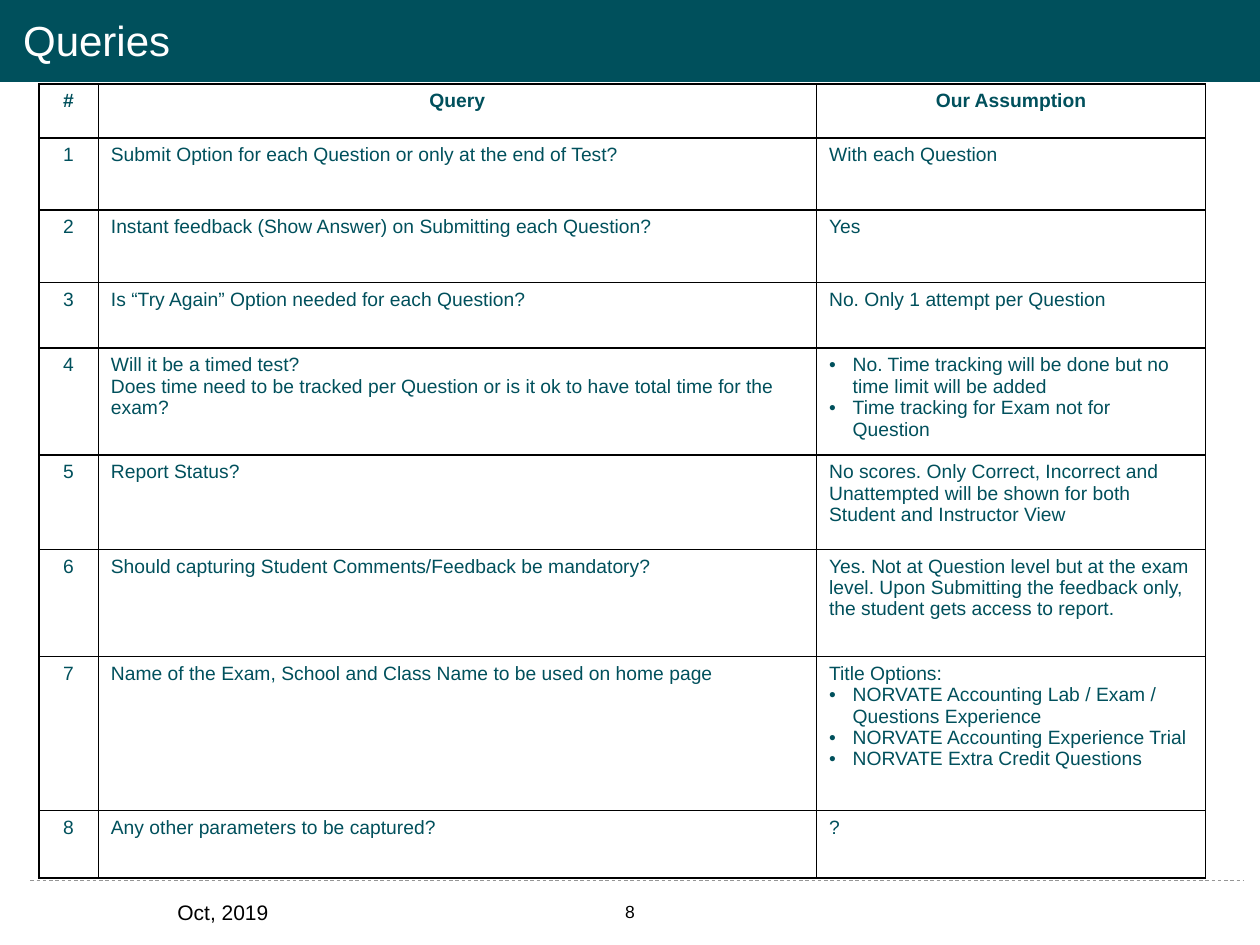
import pptx
import pptx.dml.color
import pptx.enum.dml
import pptx.enum.shapes
import pptx.enum.text
import pptx.oxml
import pptx.oxml.ns
import pptx.util
from dataclasses import dataclass

Pt = pptx.util.Pt
ALIGN = pptx.enum.text.PP_ALIGN
ANCHOR = pptx.enum.text.MSO_ANCHOR
NAMESPACE = pptx.oxml.ns.nsdecls("a")


@dataclass(frozen=True)
class Theme:
    font: str = "Arial"
    teal: str = "00505C"
    white: str = "FFFFFF"
    black: str = "000000"
    gray: str = "969696"
    title_size: float = 24
    date_size: float = 12
    table_size: float = 11
    number_size: float = 10


THEME = Theme()
BULLET = "• "
BULLET_INDENT = Pt(13.5)
COLUMN_WIDTHS = [34, 410.4, 222.4]
ROW_HEIGHTS = [31, 41, 41.6, 37.4, 61.2, 53.8, 61.2, 88, 38.6]
HEADINGS = ["#", "Query", "Our Assumption"]
QUERIES = [
    (["Submit Option for each Question or only at the end of Test?"],
     ["With each Question"]),
    (["Instant feedback (Show Answer) on Submitting each Question?"],
     ["Yes"]),
    (["Is “Try Again” Option needed for each Question?"],
     ["No. Only 1 attempt per Question"]),
    (["Will it be a timed test?",
      "Does time need to be tracked per Question or is it ok to have "
      "total time for the exam?"],
     ["• No. Time tracking will be done but no time limit will be added",
      "• Time tracking for Exam not for Question"]),
    (["Report Status?"],
     ["No scores. Only Correct, Incorrect and Unattempted will be shown "
      "for both Student and Instructor View"]),
    (["Should capturing Student Comments/Feedback be mandatory?"],
     ["Yes. Not at Question level but at the exam level. Upon Submitting "
      "the feedback only, the student gets access to report."]),
    (["Name of the Exam, School and Class Name to be used on home page"],
     ["Title Options:",
      "• NORVATE Accounting Lab / Exam / Questions Experience",
      "• NORVATE Accounting Experience Trial",
      "• NORVATE Extra Credit Questions"]),
    (["Any other parameters to be captured?"], ["?"]),
]


def rgb(value):
    return pptx.dml.color.RGBColor.from_string(value)


def format_paragraph(para, size, color, align=ALIGN.LEFT, bold=False):
    para.alignment = align
    for span in para.runs:
        span.font.name = THEME.font
        span.font.size = Pt(size)
        span.font.bold = bold
        span.font.color.rgb = rgb(color)


def add_bullet(para):
    properties = para._p.get_or_add_pPr()
    properties.set("marL", str(BULLET_INDENT))
    properties.set("indent", str(-BULLET_INDENT))
    for tag in ('buFont typeface="Arial"', 'buChar char="•"'):
        properties.append(pptx.oxml.parse_xml(f"<a:{tag} {NAMESPACE}/>"))


def add_band(page, left, top, width, height):
    band = page.shapes.add_shape(
        pptx.enum.shapes.MSO_SHAPE.RECTANGLE,
        Pt(left), Pt(top), Pt(width), Pt(height))
    band.shadow.inherit = False
    band.fill.solid()
    band.fill.fore_color.rgb = rgb(THEME.teal)
    band.line.fill.background()


def add_dashed_rule(page, left, right, y):
    rule = page.shapes.add_connector(
        pptx.enum.shapes.MSO_CONNECTOR.STRAIGHT,
        Pt(left), Pt(y), Pt(right), Pt(y))
    rule.line.color.rgb = rgb(THEME.gray)
    rule.line.width = Pt(0.5)
    rule.line.dash_style = pptx.enum.dml.MSO_LINE.DASH
    rule.element.spPr.append(
        pptx.oxml.parse_xml(f"<a:effectLst {NAMESPACE}/>"))


def add_label(page, text, left, top, width, height, size, align, anchor):
    box = page.shapes.add_textbox(Pt(left), Pt(top), Pt(width), Pt(height))
    frame = box.text_frame
    frame.word_wrap = True
    frame.vertical_anchor = anchor
    frame.text = text
    format_paragraph(frame.paragraphs[0], size, THEME.black, align)
    return box


def set_title(page, text):
    """Fill the title placeholder and bring it in front of the band."""
    title = page.shapes.title
    title.left, title.top = Pt(6), Pt(1.2)
    title.width, title.height = Pt(682.5), Pt(46.8)
    frame = title.text_frame
    frame.text = text
    frame.auto_size = pptx.enum.text.MSO_AUTO_SIZE.NONE
    frame.vertical_anchor = ANCHOR.MIDDLE
    para = frame.paragraphs[0]
    para.line_spacing = 0.9
    para.space_before, para.space_after = Pt(3), Pt(6)
    format_paragraph(para, THEME.title_size, THEME.white)
    title.element.getparent().append(title.element)


def style_cell(cell):
    properties = cell._tc.get_or_add_tcPr()
    for side in "LRTB":
        properties.append(pptx.oxml.parse_xml(
            f'<a:ln{side} {NAMESPACE} w="{Pt(1)}"><a:solidFill>'
            f'<a:srgbClr val="{THEME.black}"/></a:solidFill></a:ln{side}>'))
    cell.fill.background()


def fill_cell(cell, lines, align, bold):
    style_cell(cell)
    frame = cell.text_frame
    frame.text = "\n".join(line.removeprefix(BULLET) for line in lines)
    for para, line in zip(frame.paragraphs, lines):
        format_paragraph(para, THEME.table_size, THEME.teal, align, bold)
        if line.startswith(BULLET):
            add_bullet(para)


def add_query_table(page, left, top):
    rows = [[[heading] for heading in HEADINGS]]
    rows += [[[str(number)], query, assumption]
             for number, (query, assumption) in enumerate(QUERIES, 1)]
    table = page.shapes.add_table(
        len(rows), len(HEADINGS), Pt(left), Pt(top),
        Pt(sum(COLUMN_WIDTHS)), Pt(sum(ROW_HEIGHTS))).table
    table.first_row = table.horz_banding = False
    for column, width in zip(table.columns, COLUMN_WIDTHS):
        column.width = Pt(width)
    for row, height in zip(table.rows, ROW_HEIGHTS):
        row.height = Pt(height)
    for r, cells in enumerate(rows):
        for c, lines in enumerate(cells):
            centered = r == 0 or c == 0
            fill_cell(table.cell(r, c), lines,
                      ALIGN.CENTER if centered else ALIGN.LEFT, r == 0)


def main():
    deck = pptx.Presentation()
    deck.slide_width, deck.slide_height = Pt(720), Pt(540)
    page = deck.slides.add_slide(deck.slide_layouts.get_by_name("Title Only"))
    number = add_label(page, "8", 267.8, 509, 184.3, 26.6,
                       THEME.number_size, ALIGN.CENTER, ANCHOR.TOP)
    number.text_frame.margin_top = number.text_frame.margin_bottom = Pt(7.2)
    add_band(page, 0, 0, 720, 46.8)
    add_dashed_rule(page, 17.3, 710.6, 503.3)
    date = add_label(page, "Oct, 2019", 94.3, 500.4, 162, 43.9,
                     THEME.date_size, ALIGN.LEFT, ANCHOR.MIDDLE)
    date.text_frame.paragraphs[0].line_spacing = 0.9
    date.text_frame.paragraphs[0].space_before = Pt(7.5)
    set_title(page, "Queries")
    add_query_table(page, 22.2, 48)
    deck.save("out.pptx")


if __name__ == "__main__":
    main()
